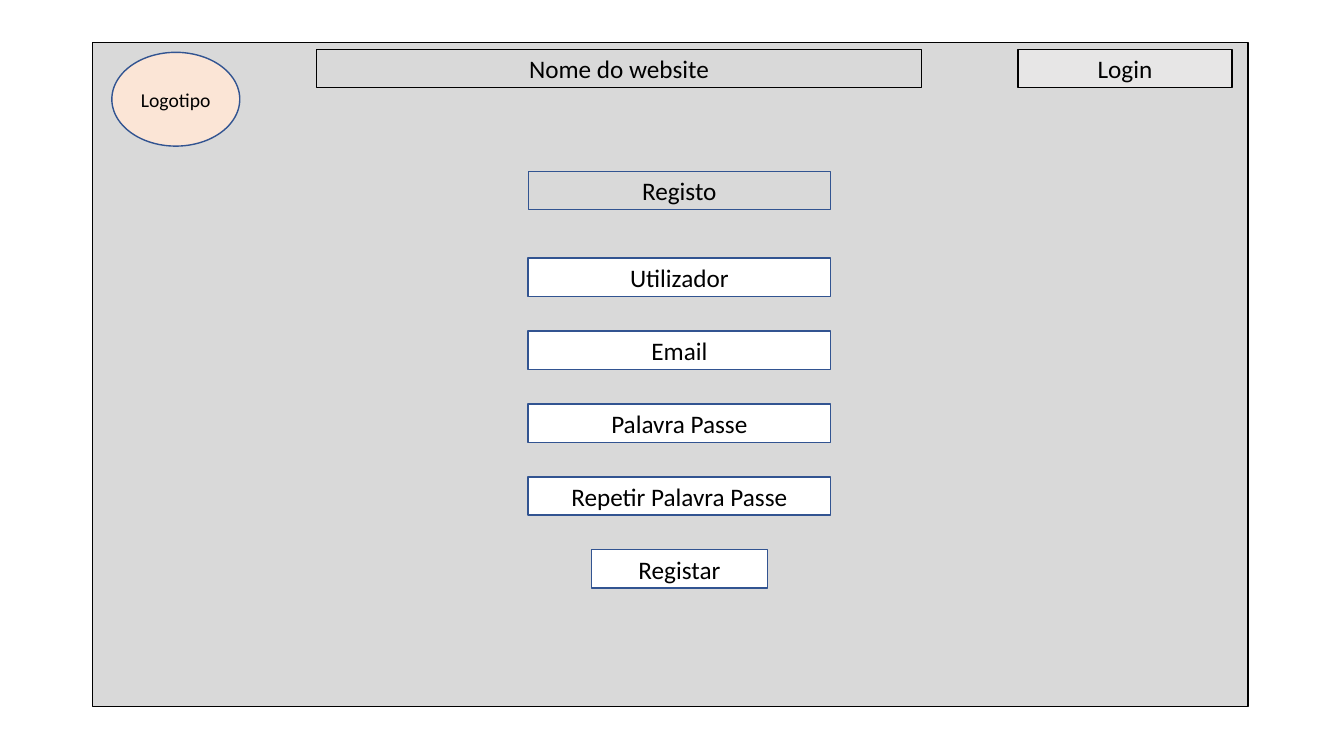
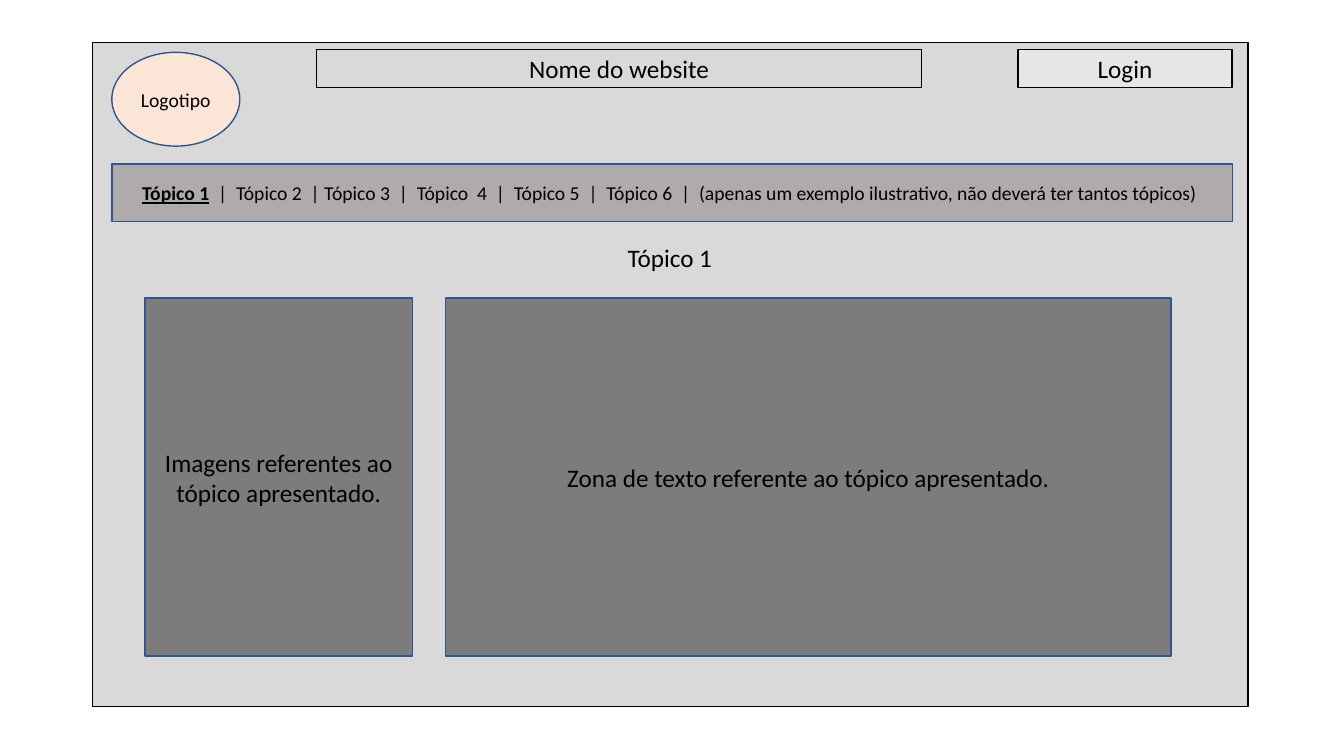
import pptx
import pptx.util
import pptx.dml.color
import pptx.enum.shapes
import pptx.enum.text

Pt = pptx.util.Pt
RGB = pptx.dml.color.RGBColor.from_string
SHAPE = pptx.enum.shapes.MSO_SHAPE

COLORS = {
    "text": "000000",
    "outline": "000000",
    "border": "325491",
    "page": "D9D9D9",
    "login": "E7E6E6",
    "logo": "FBE5D6",
    "field": "FFFFFF",
    "menu": "AFABAB",
    "panel": "7C7C7C",
}
FONT = "Calibri"
BAR_H = 27.4


def write(sp, text, size=18, bold=False, underline=False):
    """Add centred text to the first paragraph of a shape."""
    tf = sp.text_frame
    tf.word_wrap = True
    tf.auto_size = pptx.enum.text.MSO_AUTO_SIZE.NONE
    tf.vertical_anchor = pptx.enum.text.MSO_ANCHOR.MIDDLE
    p = tf.paragraphs[0]
    p.alignment = pptx.enum.text.PP_ALIGN.CENTER
    r = p.add_run()
    r.text = text
    r.font.name = FONT
    r.font.size = Pt(size)
    r.font.bold = bold
    r.font.underline = underline
    r.font.color.rgb = RGB(COLORS["text"])


def box(s, left, top, width, height, fill=None, line="border", kind=SHAPE.RECTANGLE):
    """Add an outlined shape, filled when a colour name is given."""
    sp = s.shapes.add_shape(kind, Pt(left), Pt(top), Pt(width), Pt(height))
    sp.shadow.inherit = False
    if fill:
        sp.fill.solid()
        sp.fill.fore_color.rgb = RGB(COLORS[fill])
    else:
        sp.fill.background()
    sp.line.color.rgb = RGB(COLORS[line])
    sp.line.width = Pt(1)
    return sp


prs = pptx.Presentation()
prs.slide_width, prs.slide_height = Pt(960), Pt(540)

# Page frame, header and title shared by both slides
pages = [
    ("Registo", (377.3, 122.4, 216, BAR_H)),
    ("Tópico 1", (424.8, 169.2, 107.3, 28.8)),
]
slides = []
for heading, place in pages:
    s = prs.slides.add_slide(prs.slide_layouts[5])
    box(s, 66.2, 30.4, 825.2, 474.4, fill="page", line="outline")
    write(box(s, 727.2, 35.3, 152.8, BAR_H, fill="login", line="outline"), "Login")
    write(box(s, 226.2, 35.3, 432, BAR_H, line="outline"), "Nome do website")
    logo = box(s, 79.9, 37.4, 91.4, 67, fill="logo", kind=SHAPE.OVAL)
    write(logo, "Logotipo", size=14)

    title = s.shapes.title
    title.left, title.top, title.width, title.height = map(Pt, place)
    write(title, heading)
    # Bring the title in front of the page frame
    title.element.getparent().append(title.element)
    slides.append(s)

register, topic = slides

# Registration form: outlined title, equally spaced fields, button
title = register.shapes.title
title.line.color.rgb = RGB(COLORS["border"])
title.line.width = Pt(1)

FORM_CENTER, FORM_TOP, FORM_STEP = 485.3, 184.3, 52.1
fields = [
    ("Utilizador", 216),
    ("Email", 216),
    ("Palavra Passe", 216),
    ("Repetir Palavra Passe", 216),
    ("Registar", 125.6),
]
for i, (label, width) in enumerate(fields):
    left, top = FORM_CENTER - width / 2, FORM_TOP + i * FORM_STEP
    write(box(register, left, top, width, BAR_H, fill="field"), label)

# Topic menu with the current topic highlighted
menu = box(topic, 79.9, 117.2, 800.6, 41, fill="menu")
write(menu, "Tópico 1", size=14, bold=True, underline=True)
write(menu, "  |  Tópico 2  | Tópico 3  |  Tópico  4  |  Tópico 5  |  Tópico 6  |  "
            "(apenas um exemplo ilustrativo, não deverá ter tantos tópicos) ", size=14)

# Content panels
panels = [
    (103.7, 190.8, "Imagens referentes ao tópico apresentado."),
    (318.2, 518.4, "Zona de texto referente ao tópico apresentado."),
]
for left, width, text in panels:
    write(box(topic, left, 213, width, 255.6, fill="panel"), text)

prs.save("out.pptx")
